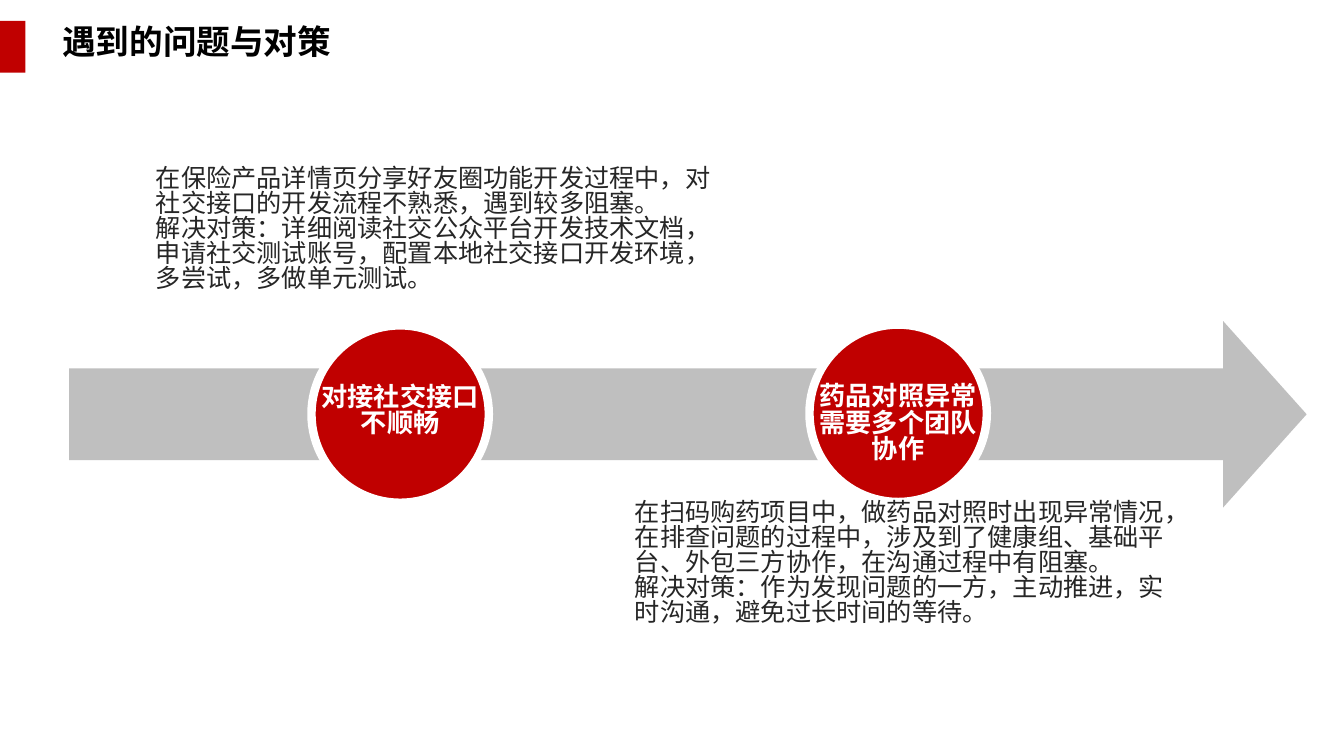
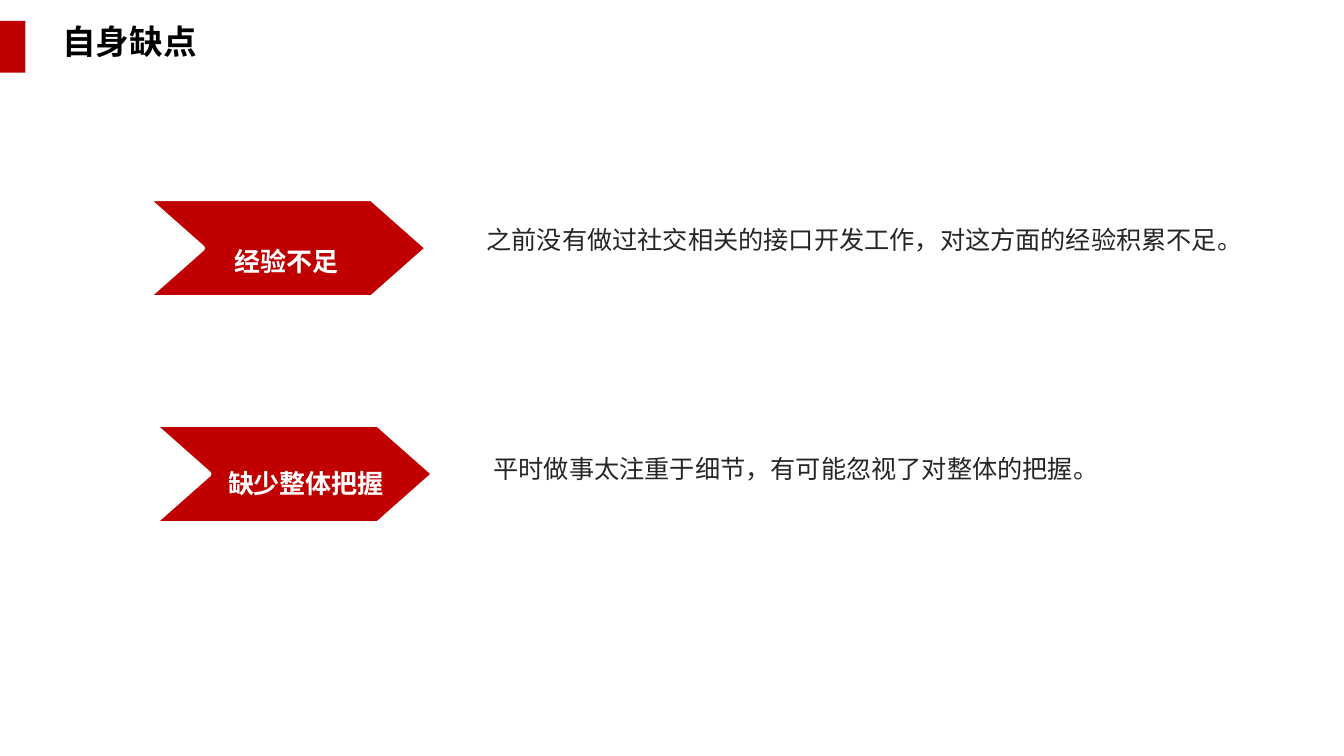
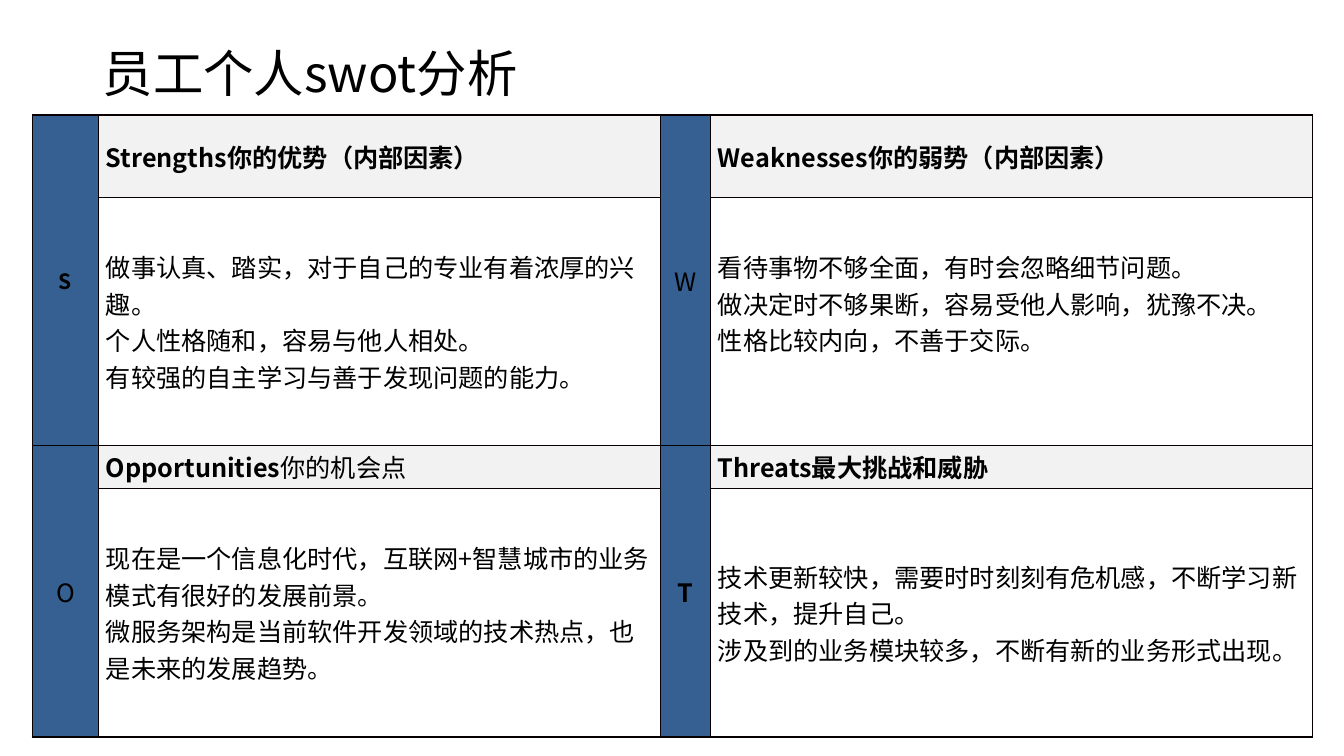
from dataclasses import dataclass

from lxml.etree import SubElement
from pptx import Presentation
from pptx.dml.color import RGBColor
from pptx.enum.shapes import MSO_SHAPE
from pptx.enum.text import MSO_ANCHOR, PP_ALIGN
from pptx.oxml.ns import qn
from pptx.util import Cm, Pt


@dataclass(frozen=True)
class Theme:
    font: str = "Noto Sans CJK SC"
    latin: str = "Arial"
    red: str = "C00000"
    gray: str = "BFBFBF"
    blue: str = "366092"
    pale: str = "F2F2F2"
    white: str = "FFFFFF"
    black: str = "000000"
    ink: str = "262626"
    edge: str = "080000"
    head: float = 24
    big: float = 36
    body: float = 18
    label: float = 18.7
    tag: float = 32
    mark: float = 15
    tight: float = 0.83
    single: float = 0.89


class Deck:
    def __init__(self, theme):
        self.theme = theme
        self.prs = Presentation()
        self.prs.slide_width, self.prs.slide_height = Cm(33.87), Cm(19.05)
        self.slide = None

    def add(self, title=None):
        """Start a slide, with the red band and heading if a title is given."""
        self.slide = self.prs.slides.add_slide(self.prs.slide_layouts[6])
        if title:
            t = self.theme
            self.shape(MSO_SHAPE.RECTANGLE, 0, 0.53, 0.64, 1.3, t.red)
            self.text([title], 1.32, 0.53, 0.85 * len(title) + 0.55, 1.27,
                      t.head, t.black, bold=True, space=t.single, wrap=False)

    def paint(self, shape, fill, line=0):
        shape.shadow.inherit = False
        shape.fill.solid()
        shape.fill.fore_color.rgb = RGBColor.from_string(fill)
        if line:
            shape.line.color.rgb = RGBColor.from_string(self.theme.white)
            shape.line.width = Pt(line)
        else:
            shape.line.fill.background()

    def shape(self, kind, x, y, w, h, fill, line=0, adj=()):
        shape = self.slide.shapes.add_shape(kind, Cm(x), Cm(y), Cm(w), Cm(h))
        for i, value in enumerate(adj):
            shape.adjustments[i] = value
        self.paint(shape, fill, line)

    def style(self, run, size, color, bold=False, font=None):
        run.font.size, run.font.bold = Pt(size), bold
        run.font.name = font or self.theme.font
        run.font.color.rgb = RGBColor.from_string(color)
        props = run.font._element
        east = SubElement(props, qn("a:ea"))
        east.set("typeface", self.theme.font)
        return props

    def text(self, lines, x, y, w, h, size, color, bold=False, align=None,
             space=None, anchor=MSO_ANCHOR.TOP, wrap=True, font=None, shift=None):
        box = self.slide.shapes.add_textbox(Cm(x), Cm(y), Cm(w), Cm(h))
        frame = box.text_frame
        frame.word_wrap = wrap
        frame.vertical_anchor = anchor
        frame.text = "\n".join(lines)
        for para in frame.paragraphs:
            para.alignment, para.line_spacing = align, space
            for run in para.runs:
                props = self.style(run, size, color, bold, font)
                if shift:
                    props.set("baseline", shift)

    def note(self, lines, x, y, w, h, space):
        self.text(lines, x, y, w, h, self.theme.body, self.theme.ink, space=space)

    def stop(self, lines, x, y):
        """Red circle on the arrow, with its centred label."""
        t, size, width = self.theme, 4.47, 5.72
        self.shape(MSO_SHAPE.OVAL, x, y, size, size, t.red, line=6)
        self.text(lines, x + (size - width) / 2, y + 1.4, width, 1.83, t.label,
                  t.white, bold=True, align=PP_ALIGN.CENTER, space=t.tight)

    def flag(self, label, x, y, dx, dy):
        """Notched red arrow; dx and dy place its label."""
        t, w, h, tip = self.theme, 7.11, 2.51, 1.42
        dots = [(w - tip, 0), (w, h / 2), (w - tip, h), (0, h), (tip, h / 2)]
        build = self.slide.shapes.build_freeform(Cm(x), Cm(y))
        build.add_line_segments([(Cm(x + a), Cm(y + b)) for a, b in dots])
        self.paint(build.convert_to_shape(), t.red, line=4)
        self.text([label], x + dx, y + dy, 6.17, 1.24, t.tag, t.white, bold=True,
                  align=PP_ALIGN.CENTER, space=1.2, anchor=MSO_ANCHOR.MIDDLE,
                  font=t.latin, shift="-3000")

    def table(self, x, y, cols, rows):
        grid = self.slide.shapes.add_table(
            len(rows), len(cols), Cm(x), Cm(y), Cm(sum(cols)), Cm(sum(rows))).table
        for col, width in zip(grid.columns, cols):
            col.width = Cm(width)
        for row, height in zip(grid.rows, rows):
            row.height = Cm(height)
        for row in grid.rows:
            for cell in row.cells:
                self.border(cell)
        return grid

    def border(self, cell):
        props = cell._tc.get_or_add_tcPr()
        for side in ("L", "R", "T", "B"):
            line = SubElement(props, qn("a:ln" + side), w=str(Pt(1)))
            fill = SubElement(line, qn("a:solidFill"))
            SubElement(fill, qn("a:srgbClr"), val=self.theme.edge)

    def cell(self, cell, lines, fill, size=None, bold=False, align=None, foot=0):
        cell.fill.solid()
        cell.fill.fore_color.rgb = RGBColor.from_string(fill)
        cell.vertical_anchor = MSO_ANCHOR.MIDDLE
        cell.margin_left = cell.margin_right = Cm(0.18)
        cell.margin_top, cell.margin_bottom = 0, Cm(foot)
        cell.text_frame.text = "\n".join(lines)
        for para in cell.text_frame.paragraphs:
            para.alignment = align
            for run in para.runs:
                self.style(run, size or self.theme.body, self.theme.black, bold)


def issues(deck):
    t = deck.theme
    deck.add("遇到的问题与对策")
    deck.shape(MSO_SHAPE.RIGHT_ARROW, 1.74, 8.09, 31.19, 4.7, t.gray,
               adj=(0.491, 0.448))
    deck.stop(["对接社交接口", "不顺畅"], 7.85, 8.2)
    deck.note(["在保险产品详情页分享好友圈功能开发过程中，对社交接口的开发流程不熟悉，遇到较多阻塞。",
               "解决对策：详细阅读社交公众平台开发技术文档，申请社交测试账号，配置本地社交接口开发环境，多尝试，多做单元测试。"],
              3.68, 4.09, 14.81, 4.11, t.tight)
    deck.stop(["药品对照异常", "需要多个团队", "协作"], 20.4, 8.18)
    deck.note(["在扫码购药项目中，做药品对照时出现异常情况，在排查问题的过程中，涉及到了健康组、基础平台、外包三方协作，在沟通过程中有阻塞。",
               "解决对策：作为发现问题的一方，主动推进，实时沟通，避免过长时间的等待。"],
              15.75, 12.5, 14.3, 4.11, t.tight)


def faults(deck):
    t = deck.theme
    deck.add("自身缺点")
    deck.flag("经验不足", 3.68, 5, 0.46, 0.61)
    deck.note(["之前没有做过社交相关的接口开发工作，对这方面的经验积累不足。"],
              12.01, 5.61, 19.41, 1.8, t.single)
    deck.flag("缺少整体把握", 3.84, 10.69, 0.78, 0.51)
    deck.note(["平时做事太注重于细节，有可能忽视了对整体的把握。"],
              12.19, 11.4, 18.8, 1.02, t.single)


def swot(deck):
    t = deck.theme
    deck.add()
    deck.text(["员工个人swot分析"], 2.34, 1.02, 29.21, 1.7, t.big, t.black,
              space=0.9, anchor=MSO_ANCHOR.BOTTOM)
    grid = deck.table(0.81, 2.9, (1.68, 14.15, 1.27, 15.16), (2.08, 6.25, 1.07, 6.27))

    # Row, column, letter, its size and weight, heading, points, bottom margin
    parts = [
        (0, 0, "S", t.mark, True, "Strengths你的优势（内部因素）",
         ["做事认真、踏实，对于自己的专业有着浓厚的兴趣。",
          "个人性格随和，容易与他人相处。",
          "有较强的自主学习与善于发现问题的能力。"], 0),
        (0, 2, "W", t.body, False, "Weaknesses你的弱势（内部因素）",
         ["看待事物不够全面，有时会忽略细节问题。",
          "做决定时不够果断，容易受他人影响，犹豫不决。",
          "性格比较内向，不善于交际。"], 0.92),
        (2, 0, "O", t.body, False, "Opportunities",
         ["现在是一个信息化时代，互联网+智慧城市的业务模式有很好的发展前景。",
          "微服务架构是当前软件开发领域的技术热点，也是未来的发展趋势。"], 0),
        (2, 2, "T", t.body, True, "Threats最大挑战和威胁",
         ["技术更新较快，需要时时刻刻有危机感，不断学习新技术，提升自己。",
          "涉及到的业务模块较多，不断有新的业务形式出现。"], 0),
    ]
    for row, col, mark, size, bold, head, points, foot in parts:
        side = grid.cell(row, col)
        side.merge(grid.cell(row + 1, col))
        deck.cell(side, [mark], t.blue, size, bold, PP_ALIGN.CENTER)
        deck.cell(grid.cell(row, col + 1), [head], t.pale, bold=True)
        deck.cell(grid.cell(row + 1, col + 1), points, t.white, foot=foot)

    # Regular-weight end of the third heading
    tail = grid.cell(2, 1).text_frame.paragraphs[0].add_run()
    tail.text = "你的机会点"
    deck.style(tail, t.body, t.black)


def main():
    deck = Deck(Theme())
    for build in (issues, faults, swot):
        build(deck)
    deck.prs.save("out.pptx")


if __name__ == "__main__":
    main()
